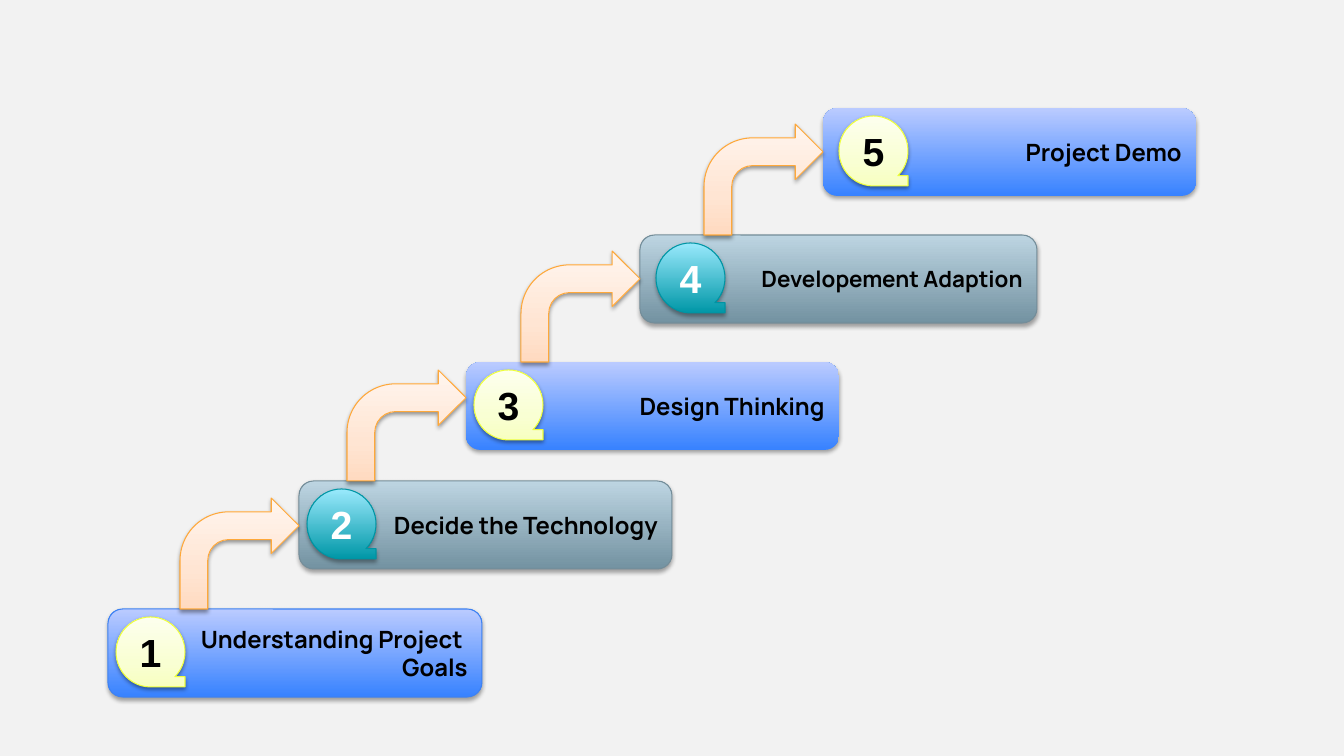
from lxml import etree
from pptx import Presentation
from pptx.dml.color import RGBColor
from pptx.enum.shapes import MSO_SHAPE
from pptx.enum.text import MSO_ANCHOR, PP_ALIGN
from pptx.oxml.ns import qn
from pptx.util import Pt

BAR = MSO_SHAPE.ROUNDED_RECTANGLE
BADGE = MSO_SHAPE.FLOWCHART_SEQUENTIAL_ACCESS_STORAGE
ARROW = MSO_SHAPE.BENT_ARROW
MIDDLE = MSO_ANCHOR.MIDDLE
CENTER, RIGHT = PP_ALIGN.CENTER, PP_ALIGN.RIGHT

# Content: label lines, left, top, width, badge indent, text size, bar outline
STEPS = [
    (["Understanding Project ", "Goals"], 108, 609, 374, 8, 17, "3C81F3"),
    (["Decide the Technology"], 299, 481, 373, 8, 17, "748D99"),
    (["Design Thinking"], 466, 362, 373, 8, 17, None),
    (["Developement Adaption"], 640, 235, 397, 16, 16, "748D99"),
    (["Project Demo"], 823, 108, 373, 16, 17, None),
]

# Gradients run from bottom to top: (position in percent, colour)
BLUE = [(0, "3782FF"), (100, "BBCBFF")]
GREY = [(0, "7392A1"), (100, "BDD5E2")]
YELLOW = [(0, "F7FFC0"), (35, "F9FFD3"), (100, "FDFFEE")]
TEAL = [(0, "0097A7"), (100, "99E9FC")]
PEACH = [(0, "FFDAC0"), (35, "FFE5D3"), (100, "FFF5EE")]

# Shadows: opacity in percent, distance in points
DEEP, SOFT = (35, 1.8), (38, 1.6)

# Bar fill, badge fill, badge outline, badge shadow, number colour
STYLES = [
    (BLUE, YELLOW, "EDFE3B", SOFT, "000000"),
    (GREY, TEAL, "0094A3", DEEP, "FFFFFF"),
]

BAR_H = 88
BADGE_W, BADGE_H, BADGE_DY = 69, 70, 8
ARROW_W, ARROW_H = 119, 111


def px(n):
    return round(n * 914400 / 100.8)


def rgb(color):
    return RGBColor.from_string(color)


def add_stops(sp, stops):
    sp.fill.gradient()
    sp.fill.gradient_angle = 90
    gs_list = sp._element.spPr.find(".//" + qn("a:gsLst"))
    for gs in list(gs_list):
        gs_list.remove(gs)
    for pos, color in stops:
        gs = etree.SubElement(gs_list, qn("a:gs"), pos=str(pos * 1000))
        etree.SubElement(gs, qn("a:srgbClr"), val=color)


def add_shadow(sp, opacity, dist):
    sp.shadow.inherit = False
    effects = sp._element.spPr.find(qn("a:effectLst"))
    outer = etree.SubElement(effects, qn("a:outerShdw"), blurRad=str(Pt(3.1)),
                             dist=str(Pt(dist)), dir="5400000", rotWithShape="0")
    color = etree.SubElement(outer, qn("a:srgbClr"), val="000000")
    etree.SubElement(color, qn("a:alpha"), val=str(opacity * 1000))


def add_part(kind, x, y, w, h, stops, outline, shadow):
    sp = s.shapes.add_shape(kind, px(x), px(y), px(w), px(h))
    add_stops(sp, stops)
    if outline:
        sp.line.color.rgb = rgb(outline)
        sp.line.width = Pt(0.75)
    else:
        sp.line.fill.background()
    add_shadow(sp, *shadow)
    return sp


def add_text(sp, lines, font, size, color, align):
    tf = sp.text_frame
    tf.word_wrap = True
    tf.vertical_anchor = MIDDLE
    for i, line in enumerate(lines):
        p = tf.add_paragraph() if i else tf.paragraphs[0]
        p.alignment = align
        r = p.add_run()
        r.text = line
        r.font.name = font
        r.font.size = Pt(size)
        r.font.bold = True
        r.font.color.rgb = rgb(color)


prs = Presentation()
prs.slide_width, prs.slide_height = px(1344), px(756)
s = prs.slides.add_slide(prs.slide_layouts[6])
s.background.fill.solid()
s.background.fill.fore_color.rgb = rgb("F2F2F2")

# Bars with their numbered badges
for i, (lines, x, y, w, indent, size, outline) in enumerate(STEPS):
    bar_fill, badge_fill, badge_line, badge_shadow, number_color = STYLES[i % 2]
    bar = add_part(BAR, x, y, w, BAR_H, bar_fill, outline, DEEP)
    add_text(bar, lines, "Manrope", size, "000000", RIGHT)
    badge = add_part(BADGE, x + indent, y + BADGE_DY, BADGE_W, BADGE_H,
                     badge_fill, badge_line, badge_shadow)
    add_text(badge, [str(i + 1)], "Arial", 28, number_color, CENTER)

# Arrows rise from the top of one bar to the left side of the next
for (_, _, top, *_), (_, next_left, *_) in zip(STEPS, STEPS[1:]):
    add_part(ARROW, next_left - ARROW_W, top - ARROW_H, ARROW_W, ARROW_H,
             PEACH, "FEA83A", SOFT)

prs.save("out.pptx")
